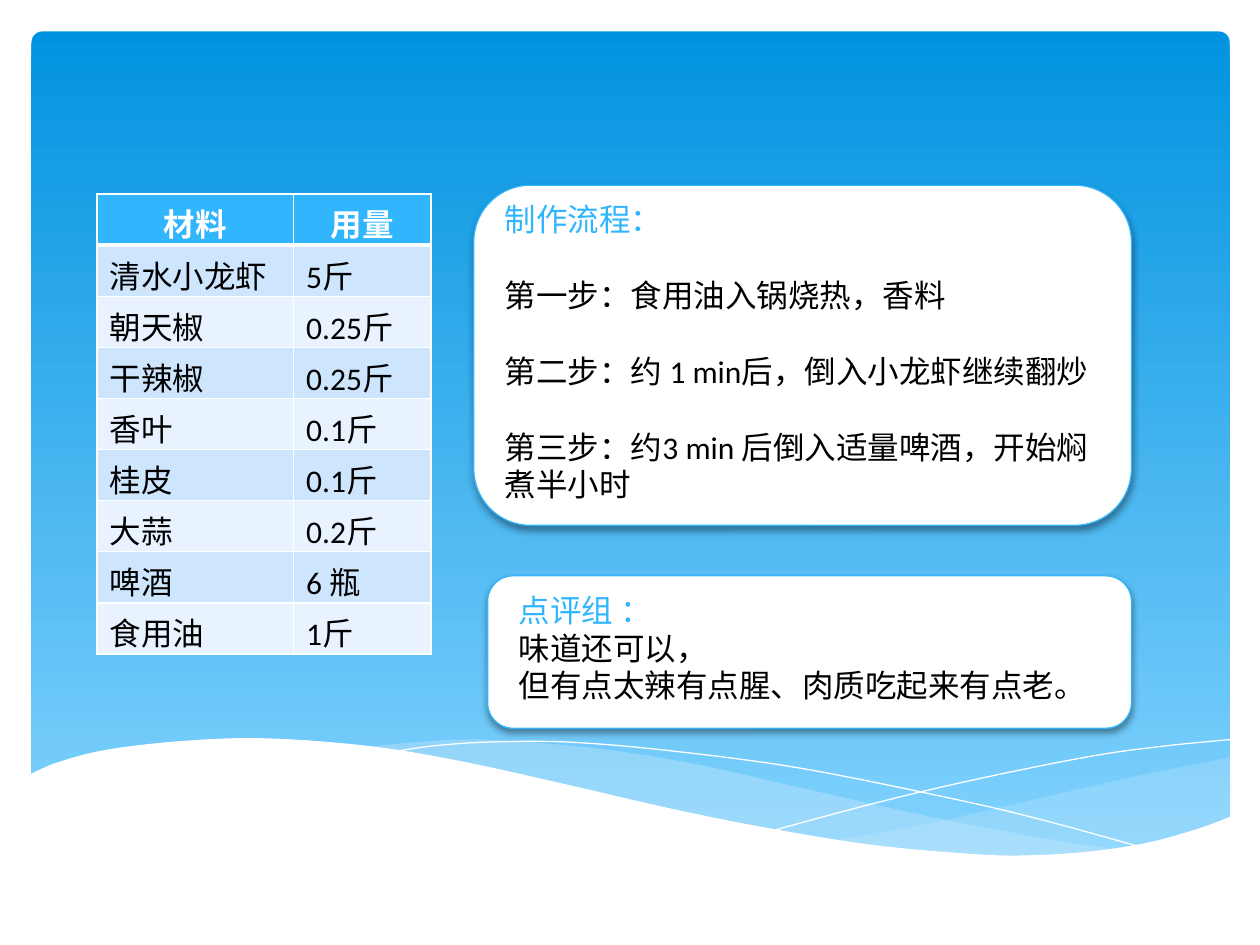
import pptx
import pptx.dml.color
import pptx.enum.shapes
import pptx.enum.text
import pptx.oxml
import pptx.oxml.ns
import pptx.util
from lxml import etree

Inches = pptx.util.Inches
Pt = pptx.util.Pt
RGBColor = pptx.dml.color.RGBColor
qn = pptx.oxml.ns.qn

WHITE = RGBColor(0xFF, 0xFF, 0xFF)
BLACK = RGBColor(0, 0, 0)
ACCENT = RGBColor(0x31, 0xB6, 0xFD)
SKY_TOP = RGBColor(0x02, 0x93, 0xE0)
SKY_BOTTOM = RGBColor(0x83, 0xD3, 0xFE)
MIST = RGBColor(0xC6, 0xE7, 0xFC)
BAND_DARK = RGBColor(0xCE, 0xE5, 0xFE)
BAND_LIGHT = RGBColor(0xE8, 0xF3, 0xFF)
FONT = "Calibri"
TEXT_SIZE = Pt(18)

SMALL_WAVE = [
    [(9.54, 0.15), (8.84, 0.29), (8.39, 0.39), (7.57, 0.58), (7.07, 0.69), (6.39, 0.81)],
    [(6.39, 0.81), (6.96, 0.88), (7.59, 0.93), (8.13, 0.93), (8.59, 0.89), (9.06, 0.79),
     (9.54, 0.63)],
]
LARGE_WAVE = [
    [(8.71, 0.89), (8.15, 0.81), (7.19, 0.63), (6.07, 0.38), (5.32, 0.21), (4.66, 0.1),
     (3.97, 0.03), (3.39, 0.01), (2.64, 0.07)],
    [(2.64, 0.07), (3.4, 0.18), (4.27, 0.38), (5.44, 0.64), (6.28, 0.8), (7.14, 0.91),
     (7.85, 0.94), (8.36, 0.93), (8.71, 0.89)],
]
FALLING_LINE = [[(2.87, 0.11), (3.21, 0.06), (3.65, 0.03), (4.28, 0.03), (5.1, 0.1),
                 (6.14, 0.24), (7.38, 0.49), (8.09, 0.66), (8.85, 0.87)]]
RISING_LINE = [[(5.91, 0.73), (6.73, 0.51), (7.54, 0.32), (8.44, 0.14), (9.02, 0.06),
                (9.53, 0.01)]]
FOREGROUND = [
    [(0, 0.29), (0.23, 0.19), (0.62, 0.09), (1.23, 0.02), (1.88, 0), (2.69, 0.06),
     (3.42, 0.18), (4.24, 0.36), (5.06, 0.55), (5.8, 0.7), (6.65, 0.84), (7.38, 0.91),
     (7.86, 0.93), (8.4, 0.9), (8.87, 0.83), (9.27, 0.72), (9.54, 0.62)],
    [(9.54, 1.45), (0, 1.45)],
]

INGREDIENTS = [
    ("材料", "用量"),
    ("清水小龙虾", "5斤"),
    ("朝天椒", "0.25斤"),
    ("干辣椒", "0.25斤"),
    ("香叶", "0.1斤"),
    ("桂皮", "0.1斤"),
    ("大蒜", "0.2斤"),
    ("啤酒", "6 瓶"),
    ("食用油", "1斤"),
]
STEPS = [
    "制作流程：",
    "第一步：食用油入锅烧热，香料",
    "第二步：约 1 min后，倒入小龙虾继续翻炒",
    "第三步：约3 min 后倒入适量啤酒，开始焖煮半小时",
]
REVIEW = ["点评组 ：", "味道还可以，", "但有点太辣有点腥、肉质吃起来有点老。"]


def smooth(knots, steps=6):
    padded = [knots[0], *knots, knots[-1]]
    points = [knots[0]]
    for a, b, c, d in zip(padded, padded[1:], padded[2:], padded[3:]):
        for t in (step / steps for step in range(1, steps + 1)):
            points.append(tuple(
                0.5 * (2 * q + (r - p) * t + (2 * p - 5 * q + 4 * r - s) * t ** 2
                       + (3 * q - p - 3 * r + s) * t ** 3)
                for p, q, r, s in zip(a, b, c, d)))
    return points


def add_wave(slide, left, top, curves, color=None, alpha=100):
    points = [(Inches(left + x), Inches(top + y)) for curve in curves for x, y in smooth(curve)]
    builder = slide.shapes.build_freeform(*points[0])
    builder.add_line_segments(points[1:], close=color is not None)
    wave = builder.convert_to_shape()
    wave.shadow.inherit = False
    if color is None:
        wave.fill.background()
        wave.line.color.rgb = WHITE
        wave.line.width = Pt(0)
        return
    wave.fill.solid()
    wave.fill.fore_color.rgb = color
    wave.line.fill.background()
    if alpha < 100:
        tint = wave.fill._xPr.find(".//" + qn("a:srgbClr"))
        etree.SubElement(tint, qn("a:alpha"), val=str(alpha * 1000))


def add_sky(slide, left, top, width, height):
    sky = slide.shapes.add_shape(
        pptx.enum.shapes.MSO_SHAPE.ROUNDED_RECTANGLE,
        Inches(left), Inches(top), Inches(width), Inches(height))
    sky.adjustments[0] = 0.013
    sky.shadow.inherit = False
    sky.line.fill.background()
    sky.fill.gradient()
    sky.fill.gradient_angle = 270
    for stop, color, position in zip(sky.fill.gradient_stops, (SKY_TOP, SKY_BOTTOM), (0, 1)):
        stop.color.rgb = color
        stop.position = position


def add_waves(slide, left, top):
    add_wave(slide, left, top, SMALL_WAVE, MIST, 29)
    add_wave(slide, left, top, LARGE_WAVE, MIST, 40)
    add_wave(slide, left, top, FALLING_LINE)
    add_wave(slide, left, top, RISING_LINE)
    add_wave(slide, left, top, FOREGROUND, WHITE)


def style_paragraph(paragraph, color, bold=False):
    paragraph.font.name = FONT
    paragraph.font.size = TEXT_SIZE
    paragraph.font.color.rgb = color
    paragraph.font.bold = bold


def add_card(slide, left, top, width, height, lines, text_width, text_height, gap=0):
    card = slide.shapes.add_shape(
        pptx.enum.shapes.MSO_SHAPE.ROUNDED_RECTANGLE,
        Inches(left), Inches(top), Inches(width), Inches(height))
    card.fill.solid()
    card.fill.fore_color.rgb = WHITE
    card.line.color.rgb = ACCENT
    card.line.width = Pt(0.75)
    card.shadow.inherit = False
    effects = card._element.spPr.find(qn("a:effectLst"))
    shadow = etree.SubElement(effects, qn("a:outerShdw"), blurRad=str(Pt(4)),
                              dist=str(Pt(2)), dir="5400000", rotWithShape="0")
    shade = etree.SubElement(shadow, qn("a:srgbClr"), val=str(BLACK))
    etree.SubElement(shade, qn("a:alpha"), val="38000")

    frame = slide.shapes.add_textbox(
        Inches(left + 0.15), Inches(top + 0.07),
        Inches(text_width), Inches(text_height)).text_frame
    frame.word_wrap = True
    frame.auto_size = pptx.enum.text.MSO_AUTO_SIZE.SHAPE_TO_FIT_TEXT
    frame.text = "\n".join(lines)
    for index, paragraph in enumerate(frame.paragraphs):
        style_paragraph(paragraph, BLACK if index else ACCENT)
        paragraph.space_before = Pt(gap if index else 0)


def add_borders(cell, bottom_width):
    properties = cell._tc.get_or_add_tcPr()
    for index, side in enumerate(("lnL", "lnR", "lnT", "lnB")):
        width = bottom_width if side == "lnB" else 1
        border = etree.Element(qn("a:" + side), w=str(Pt(width)))
        fill = etree.SubElement(border, qn("a:solidFill"))
        etree.SubElement(fill, qn("a:srgbClr"), val=str(WHITE))
        properties.insert(index, border)


def add_ingredients(slide, left, top, width, height):
    table = slide.shapes.add_table(
        len(INGREDIENTS), 2, Inches(left), Inches(top), Inches(width), Inches(height)).table
    table.columns[0].width = Inches(1.56)
    table.columns[1].width = Inches(width - 1.56)
    for row_index, row in enumerate(INGREDIENTS):
        header = row_index == 0
        band = BAND_DARK if row_index % 2 else BAND_LIGHT
        for column_index, text in enumerate(row):
            cell = table.cell(row_index, column_index)
            cell.text = text
            cell.fill.solid()
            cell.fill.fore_color.rgb = ACCENT if header else band
            add_borders(cell, 3 if header else 1)
            paragraph = cell.text_frame.paragraphs[0]
            style_paragraph(paragraph, WHITE if header else BLACK, header)
            if header:
                paragraph.alignment = pptx.enum.text.PP_ALIGN.CENTER


def main():
    deck = pptx.Presentation()
    deck.slide_width = Inches(10)
    deck.slide_height = Inches(7.5)
    slide = deck.slides.add_slide(deck.slide_layouts[6])
    add_sky(slide, 0.25, 0.25, 9.51, 6.6)
    add_waves(slide, 0.23, 5.86)
    add_card(slide, 3.76, 1.47, 5.22, 2.7, STEPS, 5.06, 2.52, gap=21.7)
    add_ingredients(slide, 0.77, 1.54, 2.65, 3.65)
    add_card(slide, 3.87, 4.57, 5.11, 1.21, REVIEW, 4.71, 1.01)
    deck.save("out.pptx")


if __name__ == "__main__":
    main()
